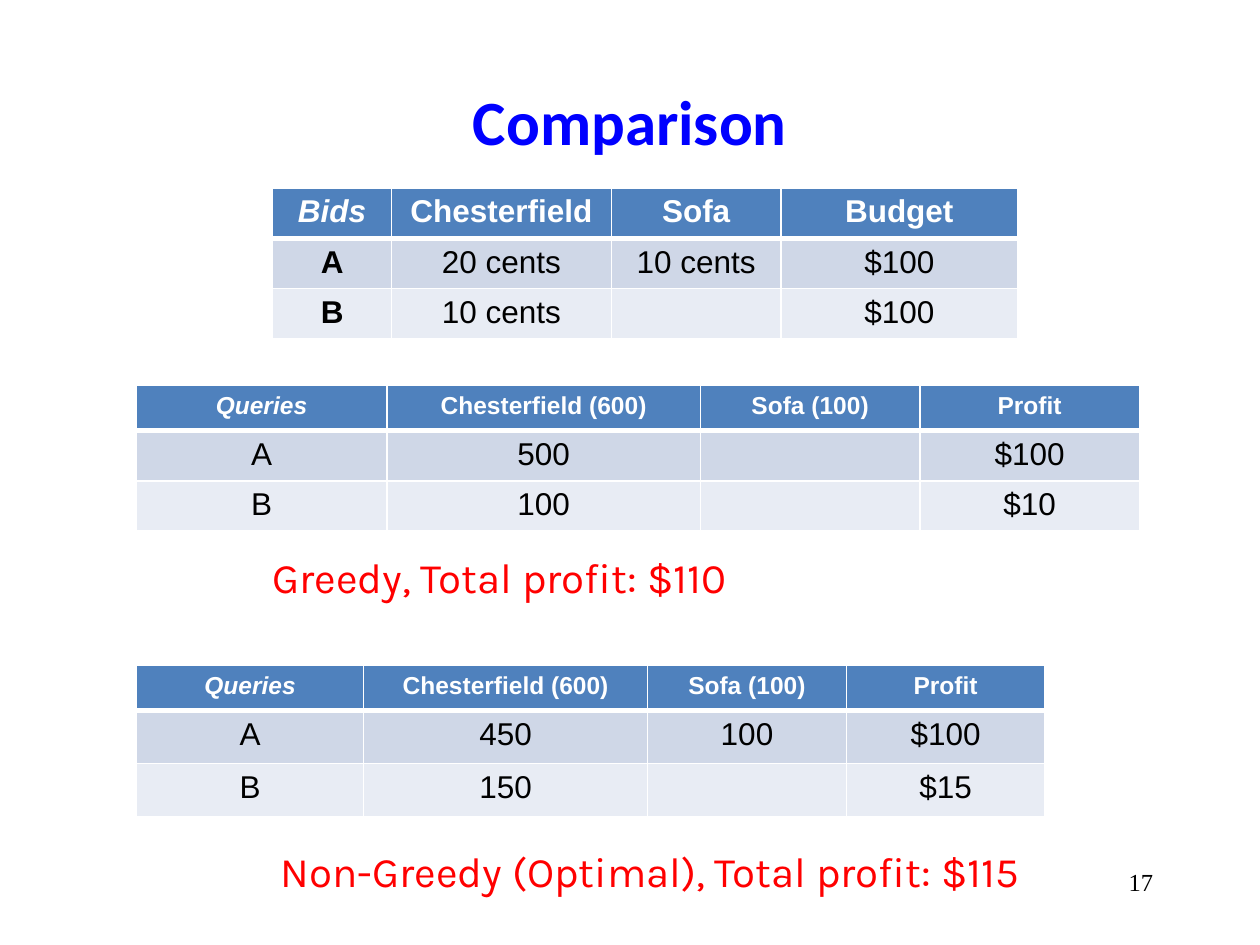
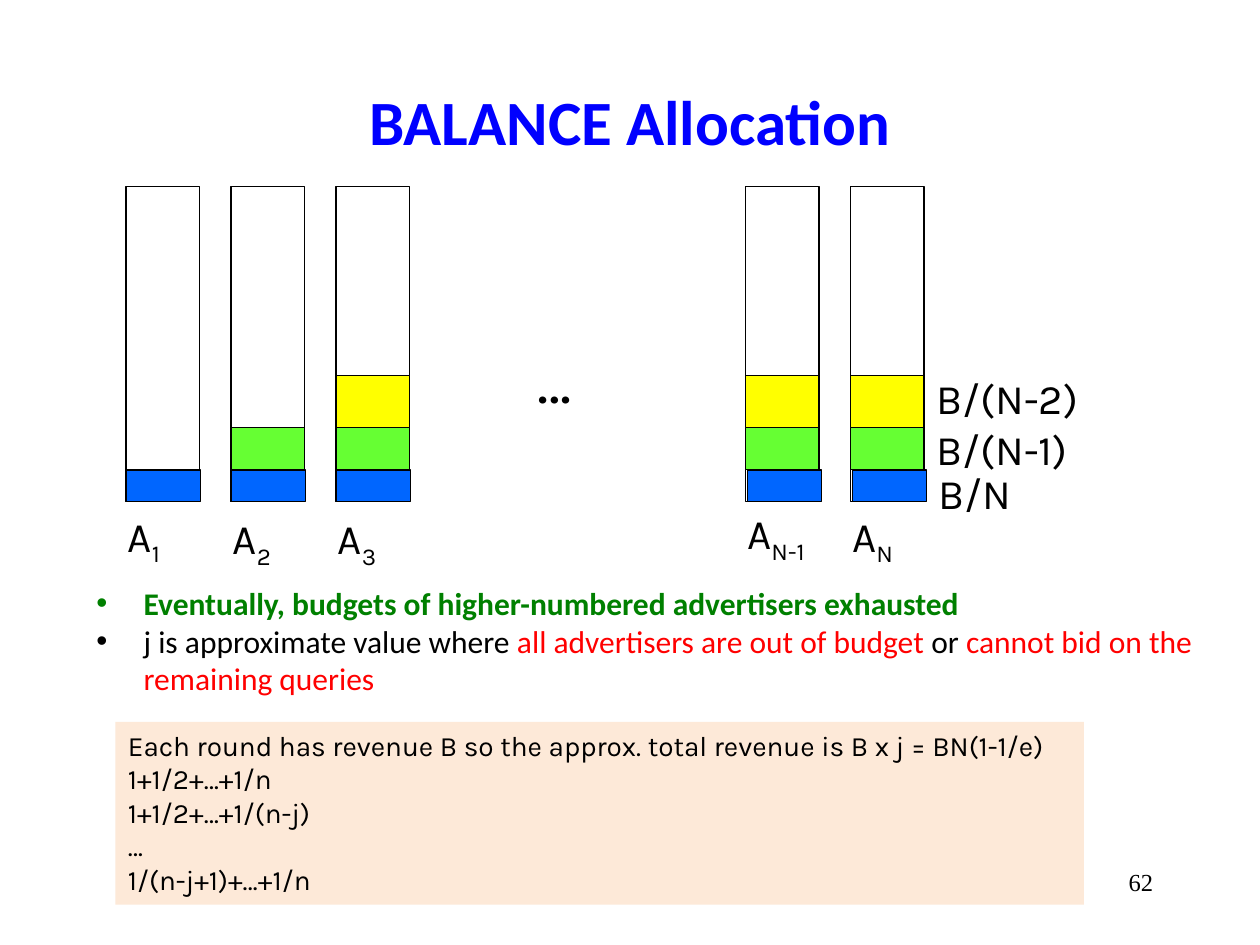
from lxml.etree import SubElement
from pptx import Presentation
from pptx.dml.color import RGBColor
from pptx.enum.shapes import MSO_SHAPE
from pptx.enum.text import MSO_ANCHOR, PP_ALIGN
from pptx.oxml.ns import qn
from pptx.util import Pt

# Shared style
BLACK, WHITE = RGBColor(0, 0, 0), RGBColor(255, 255, 255)
TITLE_BLUE, RED = RGBColor(0, 0, 255), RGBColor(255, 0, 0)
DARK_GREEN, PEACH = RGBColor(0, 128, 0), RGBColor(0xFD, 0xE9, 0xD8)
HEADER = RGBColor(0x4F, 0x81, 0xBD)
STRIPES = [RGBColor(0xCF, 0xD7, 0xE7), RGBColor(0xE8, 0xEC, 0xF4)]
BLUE, GREEN = RGBColor(0, 0x66, 0xFF), RGBColor(0x66, 0xFF, 0x33)
YELLOW = RGBColor(255, 255, 0)
BODY, LABEL, CELL, NUMBER = "Calibri", "Karla", "Arial", "Times New Roman"

# Slide 1 content
QUERY_HEAD = ["Queries", "Chesterfield (600)", "Sofa (100)", "Profit"]
TABLES = [
    dict(at=(77.8, 220.3), cols=[143.3, 179.2, 125.4, 125.4], heights=[25.6, 26, 26],
         head_size=14, bold_first=False,
         rows=[QUERY_HEAD, ["A", "500", "", "$100"], ["B", "100", "", "$10"]]),
    dict(at=(155.8, 107.3), cols=[68, 125.6, 97, 135.2], heights=[28.8, 25.6, 25.6],
         head_size=18, bold_first=True,
         rows=[["Bids", "Chesterfield", "Sofa", "Budget"],
               ["A", "20 cents", "10 cents", "$100"], ["B", "10 cents", "", "$100"]]),
    dict(at=(78, 380.3), cols=[129.8, 162.3, 113.5, 113.5], heights=[25.6, 30.3, 30.3],
         head_size=14, bold_first=False,
         rows=[QUERY_HEAD, ["A", "450", "100", "$100"], ["B", "150", "", "$15"]]),
]
TOTALS = [("Greedy, Total profit: $110", (141.8, 311.8, 287.3, 36)),
          ("Non-Greedy (Optimal), Total profit: $115", (92.9, 479.5, 557.3, 36))]

# Slide 2 content: advertiser subscript, bar left, label top
BARS = [("1", 72, 288), ("2", 132, 289.5), ("3", 192, 289.5),
        ("N-1", 426, 286.5), ("N", 486, 288)]
BAR_TOP, BAR_W, BAR_H = 106.5, 42, 180
# Bands from the bottom up: first bar, height, colour, label, label top
BANDS = [(0, 18, BLUE, "B/N", 263.5), (1, 24, GREEN, "B/(N-1)", 238.5),
         (2, 30, YELLOW, "B/(N-2)", 209.5)]
BULLETS = [
    [("Eventually, budgets of higher-numbered advertisers exhausted", DARK_GREEN, True)],
    [("j is approximate value where ", BLACK, False),
     ("all advertisers are out of budget ", RED, False), ("or ", BLACK, False),
     ("cannot bid on the remaining queries", RED, False)],
]
REVENUE = ["Each round has revenue B so the approx. total revenue is B x j = BN(1-1/e)",
           "1+1/2+…+1/n", "1+1/2+…+1/(n-j)", "…", "1/(n-j+1)+…+1/n"]


def add_run(p, text, size, font, color=BLACK, bold=False, italic=False):
    r = p.add_run()
    r.text = text
    f = r.font
    f.size, f.name, f.bold, f.italic = Pt(size), font, bold, italic
    f.color.rgb = color
    return r


def add_text(shapes, box, text, size, font, color=BLACK, bold=False,
             align=PP_ALIGN.LEFT, anchor=MSO_ANCHOR.TOP):
    tf = shapes.add_textbox(*map(Pt, box)).text_frame
    tf.word_wrap, tf.vertical_anchor = True, anchor
    p = tf.paragraphs[0]
    p.alignment = align
    if text:
        add_run(p, text, size, font, color, bold)
    return tf


def add_rect(shapes, box, fill=None, line=None):
    sp = shapes.add_shape(MSO_SHAPE.RECTANGLE, *map(Pt, box))
    sp.shadow.inherit = False
    if fill is None:
        sp.fill.background()
    else:
        sp.fill.solid()
        sp.fill.fore_color.rgb = fill
    if line is None:
        sp.line.fill.background()
    else:
        sp.line.color.rgb, sp.line.width = line, Pt(0.75)
    return sp


def add_slide(prs, title, number):
    s = prs.slides.add_slide(prs.slide_layouts[6])
    add_text(s.shapes, (54, 24, 612, 90), title, 36, BODY, TITLE_BLUE, True,
             PP_ALIGN.CENTER, MSO_ANCHOR.MIDDLE)
    add_text(s.shapes, (516, 492, 150, 36), number, 14, NUMBER, align=PP_ALIGN.RIGHT)
    return s


def set_borders(cell, widths):
    tc_pr = cell._tc.get_or_add_tcPr()
    for side, width in zip("LRTB", widths):
        ln = SubElement(tc_pr, qn(f"a:ln{side}"), w=str(Pt(width)))
        fill = SubElement(ln, qn("a:solidFill"))
        SubElement(fill, qn("a:srgbClr"), val=str(WHITE))


def add_grid(s, at, cols, heights, head_size, bold_first, rows):
    tbl = s.shapes.add_table(len(rows), len(cols), *map(Pt, at),
                             Pt(sum(cols)), Pt(sum(heights))).table
    for col, width in zip(tbl.columns, cols):
        col.width = Pt(width)
    for i, (row, height) in enumerate(zip(rows, heights)):
        tbl.rows[i].height = Pt(height)
        head = i == 0
        for j, text in enumerate(row):
            cell = tbl.cell(i, j)
            set_borders(cell, (1, 1, 3 if i == 1 else 1, 3 if head else 1))
            cell.fill.solid()
            cell.fill.fore_color.rgb = HEADER if head else STRIPES[(i - 1) % 2]
            p = cell.text_frame.paragraphs[0]
            p.alignment = PP_ALIGN.CENTER
            if text:
                add_run(p, text, head_size if head else 18, CELL,
                        WHITE if head else BLACK,
                        bold=head or (bold_first and j == 0), italic=head and j == 0)


def add_bullet(p, color):
    p_pr = p._p.get_or_add_pPr()
    p_pr.set("marL", str(Pt(27)))
    p_pr.set("indent", str(Pt(-27)))
    SubElement(SubElement(p_pr, qn("a:buClr")), qn("a:srgbClr"), val=str(color))
    SubElement(p_pr, qn("a:buFont"), typeface="Arial")
    SubElement(p_pr, qn("a:buChar"), char="•")


def comparison_slide(prs):
    s = add_slide(prs, "Comparison", "17")
    for table in TABLES:
        add_grid(s, **table)
    for text, box in TOTALS:
        add_text(s.shapes, box, text, 24, LABEL, RED, align=PP_ALIGN.CENTER)


def balance_slide(prs):
    s = add_slide(prs, "BALANCE Allocation", "62")

    # Budget bars and advertiser names
    for sub, left, label_top in BARS:
        add_rect(s.shapes, (left, BAR_TOP, BAR_W, BAR_H), line=BLACK)
        tf = add_text(s.shapes, (left - 6, label_top, 66, 36), "A", 24, LABEL)
        r = add_run(tf.paragraphs[0], sub, 24, LABEL)
        r.font._element.set("baseline", "-25000")
    add_text(s.shapes, (300, 191, 44, 50), "…", 36, LABEL)

    # Spent bands, one group per round
    top = BAR_TOP + BAR_H
    for first, height, color, label, label_top in BANDS:
        top -= height
        group = s.shapes.add_group_shape().shapes
        nudge = 1 if first == 0 else 0
        for i, (_, left, _) in enumerate(BARS[first:], first):
            shift = nudge if i > 2 else 0
            add_rect(group, (left + shift, top, BAR_W + nudge / 2, height), color, BLACK)
        add_text(group, (528 + nudge, label_top, 113, 37), label, 24, LABEL)

    # Remarks
    tf = add_text(s.shapes, (48, 330, 660, 73.5), "", 18, BODY)
    for i, runs in enumerate(BULLETS):
        p = tf.add_paragraph() if i else tf.paragraphs[0]
        add_bullet(p, runs[0][1])
        for text, color, bold in runs:
            add_run(p, text, 18, BODY, color, bold)

    # Revenue box
    tf = add_rect(s.shapes, (66, 412.5, 553.5, 104.4), PEACH).text_frame
    tf.word_wrap, tf.vertical_anchor = True, MSO_ANCHOR.TOP
    for i, text in enumerate(REVENUE):
        p = tf.add_paragraph() if i else tf.paragraphs[0]
        p.alignment = PP_ALIGN.LEFT
        add_run(p, text, 16, LABEL)


def main():
    prs = Presentation()
    prs.slide_width, prs.slide_height = Pt(720), Pt(540)
    comparison_slide(prs)
    balance_slide(prs)
    prs.save("out.pptx")


if __name__ == "__main__":
    main()
